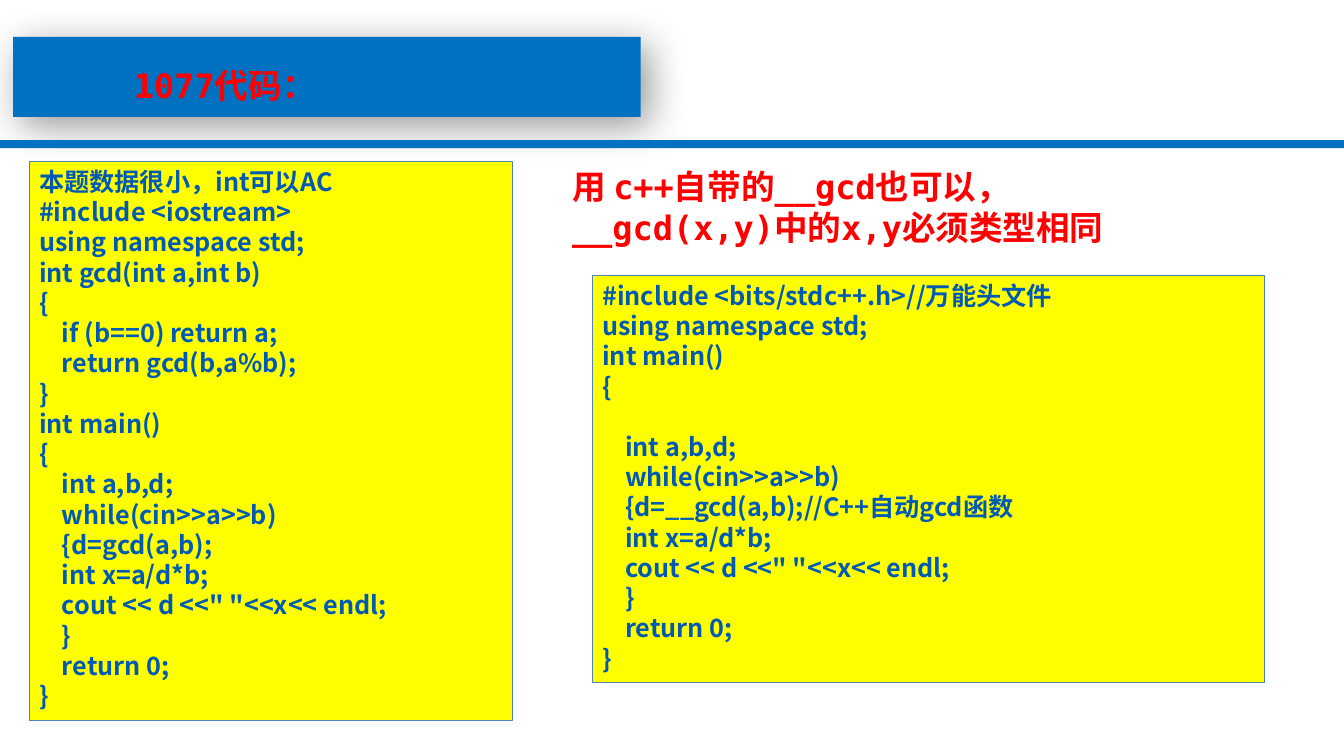
from lxml import etree
from pptx import Presentation
from pptx.dml.color import RGBColor
from pptx.enum.shapes import MSO_SHAPE
from pptx.enum.text import MSO_ANCHOR, MSO_AUTO_SIZE, PP_ALIGN
from pptx.oxml import parse_xml
from pptx.oxml.ns import nsdecls, qn
from pptx.util import Inches, Pt

RECTANGLE = MSO_SHAPE.RECTANGLE
LEFT, TOP, NO_FIT = PP_ALIGN.LEFT, MSO_ANCHOR.TOP, MSO_AUTO_SIZE.NONE
BLUE = RGBColor(0x00, 0x70, 0xC0)
CODE_BLUE = RGBColor(0x00, 0x5A, 0xB4)
BORDER_BLUE = RGBColor(0x4F, 0x81, 0xBD)
YELLOW = RGBColor(0xFF, 0xFF, 0x00)
RED = RGBColor(0xFF, 0x00, 0x00)
MONO_FONT, CJK_FONT = "DejaVu Sans Mono", "Noto Sans CJK SC"
LINE_RATIO = 1.2
WIDTH, HEIGHT = 13.34, 7.5

TITLE = "1077代码："
NOTE = "用 c++自带的__gcd也可以，__gcd(x,y)中的x,y必须类型相同"
OWN_GCD_CODE = """本题数据很小，int可以AC
#include <iostream>
using namespace std;
int gcd(int a,int b)
{
    if (b==0) return a;
    return gcd(b,a%b);
}
int main()
{
    int a,b,d;
    while(cin>>a>>b)
    {d=gcd(a,b);
    int x=a/d*b;
    cout << d <<" "<<x<< endl;
    }
    return 0;
}"""
BUILT_IN_CODE = """#include <bits/stdc++.h>//万能头文件
using namespace std;
int main()
{

    int a,b,d;
    while(cin>>a>>b)
    {d=__gcd(a,b);//C++自动gcd函数
    int x=a/d*b;
    cout << d <<" "<<x<< endl;
    }
    return 0;
}"""


def place(shape, box):
    shape.left, shape.top, shape.width, shape.height = map(Inches, box)


def add_rectangle(slide, box, fill, border=None):
    shape = slide.shapes.add_shape(RECTANGLE, *map(Inches, box))
    shape.shadow.inherit = False
    shape.fill.solid()
    shape.fill.fore_color.rgb = fill
    if border is None:
        shape.line.fill.background()
    else:
        shape.line.color.rgb = border
        shape.line.width = Pt(0.75)
    return shape


def write_lines(shape, text, size, font_name, color):
    """Fill a shape with one paragraph per line; an empty line becomes spacing."""
    frame = shape.text_frame
    frame.word_wrap, frame.auto_size = True, NO_FIT
    frame.vertical_anchor = TOP
    pitch = Pt(size * LINE_RATIO)
    paragraph, gap = frame.paragraphs[0], 0
    for index, line in enumerate(text.split("\n")):
        if not line:
            gap += pitch
            continue
        if index:
            paragraph = frame.add_paragraph()
        paragraph.alignment = LEFT
        paragraph.line_spacing = pitch
        paragraph.space_before = Pt(gap / Pt(1))
        gap = 0
        run = paragraph.add_run()
        run.text = line
        run.font.size, run.font.bold = Pt(size), True
        run.font.color.rgb = color
        run.font.name = font_name
        east_asian = etree.SubElement(run.font._element, qn("a:ea"))
        east_asian.set("typeface", CJK_FONT)


def add_header(slide, box):
    """Shadowed banner with the title, closed by a full-width rule."""
    left, top, width, height = box
    banner_top, banner_height = top + 0.25 * height, 0.54 * height
    banner = add_rectangle(
        slide, (left + 0.13, banner_top, 0.467 * width, banner_height), BLUE)
    properties = banner._element.spPr
    properties.remove(properties.find(qn("a:effectLst")))
    properties.append(parse_xml(
        f'<a:effectLst {nsdecls("a")}>'
        f'<a:outerShdw blurRad="{Pt(28)}" dist="{Pt(8)}" dir="2700000" '
        'algn="tl" rotWithShape="0"><a:srgbClr val="000000">'
        '<a:alpha val="40000"/></a:srgbClr></a:outerShdw></a:effectLst>'))
    add_rectangle(slide, (left, top + height - 0.08, width, 0.08), BLUE)

    title = slide.shapes.title
    slide.shapes._spTree.append(title._element)  # bring in front of the banner
    place(title, (left + 1.23, banner_top + 0.23, 3.46, 0.5))
    write_lines(title, TITLE, 24, MONO_FONT, RED)


def add_code_panel(slide, box, code):
    panel = add_rectangle(slide, box, YELLOW, BORDER_BLUE)
    write_lines(panel, code, 18, CJK_FONT, CODE_BLUE)


def add_built_in_column(slide, box):
    """Red note above the code that uses the library function."""
    left, top, width, height = box
    note_height, indent = 0.91, 0.3
    note = slide.shapes.add_textbox(
        *map(Inches, (left, top, 6.54, note_height)))
    write_lines(note, NOTE, 24, MONO_FONT, RED)
    code_offset = note_height + 0.22
    add_code_panel(slide, (left + indent, top + code_offset,
                           width - indent, height - code_offset), BUILT_IN_CODE)


def main():
    presentation = Presentation()
    presentation.slide_width = Inches(WIDTH)
    presentation.slide_height = Inches(HEIGHT)
    slide = presentation.slides.add_slide(presentation.slide_layouts[5])
    add_header(slide, (0, 0, WIDTH, 1.47))
    add_code_panel(slide, (0.29, 1.6, 4.8, 5.55), OWN_GCD_CODE)
    add_built_in_column(slide, (5.58, 1.6, 6.97, 5.17))
    presentation.save("out.pptx")


if __name__ == "__main__":
    main()
